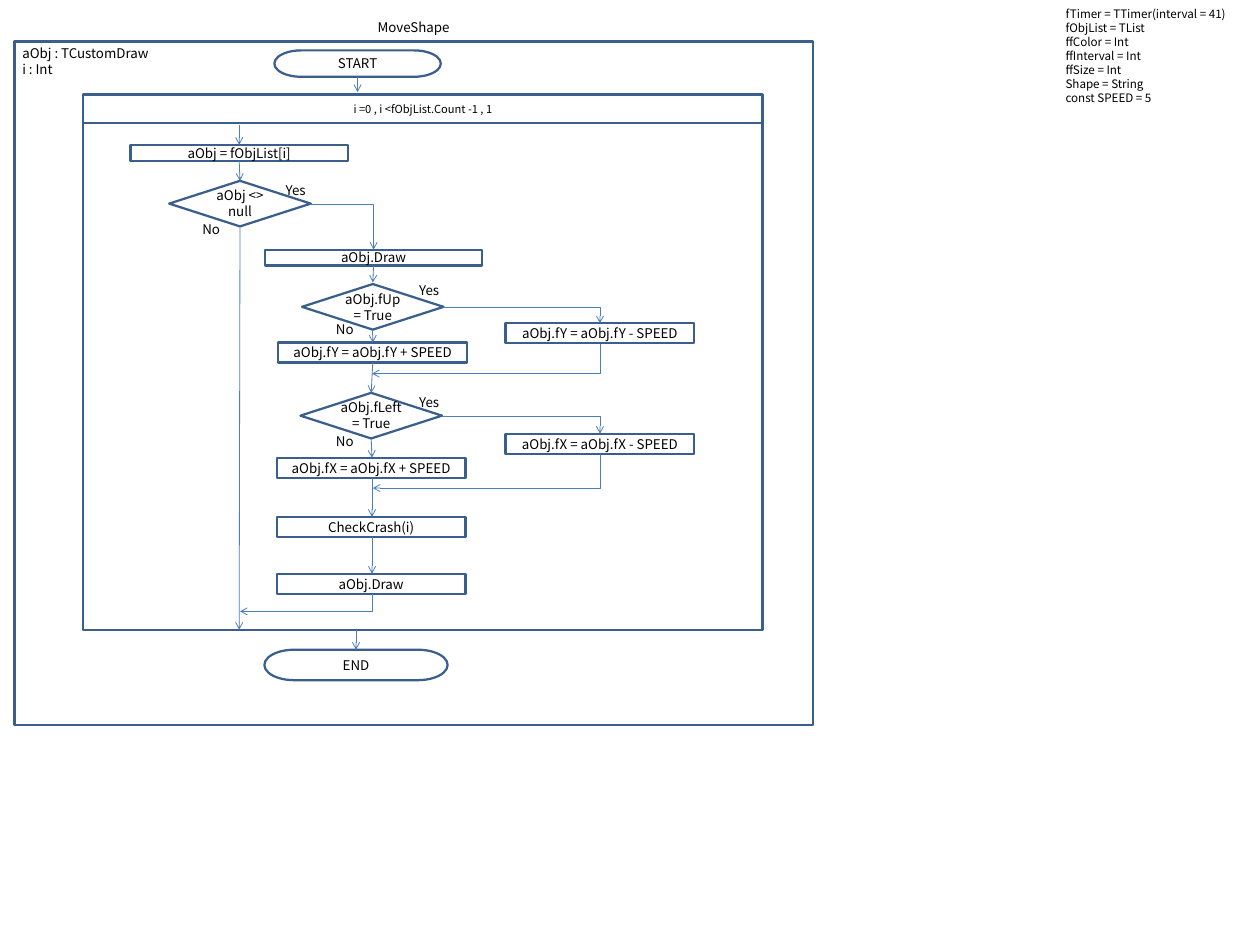
from lxml.etree import SubElement
from pptx import Presentation
from pptx.dml.color import RGBColor
from pptx.enum.shapes import MSO_CONNECTOR as Connector, MSO_SHAPE as Shape
from pptx.enum.text import MSO_ANCHOR as Anchor, MSO_AUTO_SIZE as AutoSize, PP_ALIGN as Align
from pptx.oxml.ns import qn
from pptx.util import Inches, Pt

CELL = Inches(0.01)
COLUMNS, ROWS = 1575, 1181
FONT = "Noto Sans CJK KR"
BORDER, ARROW, INK = "3A5F8C", "4B7EBC", "000000"
LOOP, MAIN, RIGHT = 299, 465, 750
DECISION_WIDTH, DECISION_HEIGHT = 177, 57
STEP_WIDTH, STEP_HEIGHT = 236, 25
ASSIGN_WIDTH, ASSIGN_HEIGHT = 272, 20
LINE_RATIO = 1.2


def color(hex_code):
    return RGBColor.from_string(hex_code)


def cells(*counts):
    return [round(count * CELL) for count in counts]


def write(shape, lines, size=12, align=Align.CENTER, anchor=Anchor.MIDDLE, inset=(0, 0)):
    frame = shape.text_frame
    frame.word_wrap = True
    frame.vertical_anchor = anchor
    frame.margin_left = frame.margin_right = round(inset[0] * CELL)
    frame.margin_top = frame.margin_bottom = round(inset[1] * CELL)
    for index, line in enumerate(lines):
        paragraph = frame.add_paragraph() if index else frame.paragraphs[0]
        paragraph.text = line
        paragraph.alignment = align
        paragraph.line_spacing = Pt(size * LINE_RATIO)
        paragraph.font.name = FONT
        paragraph.font.size = Pt(size)
        paragraph.font.color.rgb = color(INK)


def add_box(slide, kind, left, top, width, height, lines=(), size=12, inset=(0, 0)):
    shape = slide.shapes.add_shape(kind, *cells(left, top, width, height))
    shape.shadow.inherit = False
    shape.fill.background()
    shape.line.color.rgb = color(BORDER)
    shape.line.width = Pt(2)
    write(shape, lines, size, inset=inset)


def add_step(slide, center, top, text, width=STEP_WIDTH, height=STEP_HEIGHT):
    add_box(slide, Shape.RECTANGLE, center - width / 2, top, width, height, [text])


def add_terminator(slide, center, top, width, height, text):
    add_box(slide, Shape.FLOWCHART_TERMINATOR, center - width / 2, top, width, height, [text])


def add_decision(slide, center, top, lines):
    add_box(slide, Shape.FLOWCHART_DECISION, center - DECISION_WIDTH / 2, top,
            DECISION_WIDTH, DECISION_HEIGHT, lines, inset=(0, 1))


def add_note(slide, left, top, width, height, lines, size=12, inset=(0, 0)):
    box = slide.shapes.add_textbox(*cells(left, top, width, height))
    write(box, lines, size, Align.LEFT, Anchor.TOP, inset)
    box.text_frame.auto_size = AutoSize.SHAPE_TO_FIT_TEXT


def add_arrow(slide, x1, y1, x2, y2):
    arrow = slide.shapes.add_connector(Connector.STRAIGHT, *cells(x1, y1, x2, y2))
    arrow.line.color.rgb = color(ARROW)
    arrow.line.width = Pt(0.75)
    SubElement(arrow.line._get_or_add_ln(), qn("a:tailEnd"), type="arrow")
    SubElement(arrow._element.spPr, qn("a:effectLst"))
    return arrow


def add_branch(slide, x1, y1, x2, y2):
    """Draw an arrow that runs right and then down."""
    arrow = add_arrow(slide, x1, y1, x2, y2)
    arrow._element.spPr.find(qn("a:prstGeom")).set("prst", "bentConnector2")
    return arrow


def add_merge(slide, x1, y1, x2, y2):
    """Draw an arrow that runs down and then left, as a branch turned by 90 degrees."""
    center_x, center_y = (x1 + x2) / 2, (y1 + y2) / 2
    half_drop, half_run = (y2 - y1) / 2, (x1 - x2) / 2
    arrow = add_branch(slide, center_x - half_drop, center_y - half_run,
                       center_x + half_drop, center_y + half_run)
    arrow._element.spPr.find(qn("a:xfrm")).set("rot", str(90 * 60000))


def add_frames(slide):
    add_box(slide, Shape.RECTANGLE, 18, 52, 998, 854)
    add_box(slide, Shape.RECTANGLE, 104, 154, 849, 633)
    add_box(slide, Shape.RECTANGLE, 104, 118, 849, 36, ["i =0 , i <fObjList.Count -1 , 1"], 10)
    title = slide.shapes.add_textbox(*cells(18, 16, 998, 36))
    write(title, ["MoveShape"])
    add_note(slide, 18, 52, 208, 50, ["aObj : TCustomDraw", "i : Int"], inset=(10, 5))
    add_note(slide, 1332, 8, 243, 124, [
        "fTimer = TTimer(interval = 41)", "fObjList = TList", "ffColor = Int",
        "ffInterval = Int", "ffSize = Int", "Shape = String", "const SPEED = 5"], 10.5)


def add_nodes(slide):
    add_terminator(slide, 447, 63, 208, 33, "START")
    add_terminator(slide, 445, 812, 229, 38, "END")
    add_step(slide, LOOP, 181, "aObj = fObjList[i]", ASSIGN_WIDTH, ASSIGN_HEIGHT)
    add_step(slide, 467, 312, "aObj.Draw", ASSIGN_WIDTH, ASSIGN_HEIGHT)
    for center, top, text in [
            (RIGHT, 404, "aObj.fY = aObj.fY - SPEED"),
            (466, 428, "aObj.fY = aObj.fY + SPEED"),
            (RIGHT, 542, "aObj.fX = aObj.fX - SPEED"),
            (464, 572, "aObj.fX = aObj.fX + SPEED"),
            (464, 646, "CheckCrash(i)"),
            (464, 717, "aObj.Draw")]:
        add_step(slide, center, top, text)
    for center, top, lines in [
            (300, 226, ["aObj <> null"]),
            (466, 355, ["aObj.fUp", "= True"]),
            (464, 491, ["aObj.fLeft", "= True"])]:
        add_decision(slide, center, top, lines)


def add_flow(slide):
    for x1, y1, x2, y2 in [
            (447, 96, 447, 115), (445, 787, 445, 812),
            (LOOP, 156, LOOP, 181), (LOOP, 201, 300, 226), (300, 283, LOOP, 787),
            (467, 332, 466, 353), (466, 412, 466, 428), (466, 453, 464, 491),
            (464, 548, MAIN, 572), (MAIN, 597, MAIN, 646), (MAIN, 671, MAIN, 717)]:
        add_arrow(slide, x1, y1, x2, y2)
    for x1, y1, x2, y2 in [
            (388, 255, 467, 312), (554, 384, RIGHT, 404), (553, 520, RIGHT, 542)]:
        add_branch(slide, x1, y1, x2, y2)
    for x1, y1, x2, y2 in [
            (RIGHT, 430, MAIN, 467), (RIGHT, 567, 466, 610), (MAIN, 742, 300, 764)]:
        add_merge(slide, x1, y1, x2, y2)


def add_answers(slide):
    for left, top in [(357, 228), (524, 353), (524, 493)]:
        add_note(slide, left, top, 30, 14, ["Yes"])
    for left, top in [(253, 277), (420, 402), (420, 542)]:
        add_note(slide, left, top, 23, 14, ["No"])


def main():
    presentation = Presentation()
    presentation.slide_width, presentation.slide_height = cells(COLUMNS, ROWS)
    slide = presentation.slides.add_slide(presentation.slide_layouts[6])
    add_frames(slide)
    add_nodes(slide)
    add_flow(slide)
    add_answers(slide)
    presentation.save("out.pptx")


if __name__ == "__main__":
    main()
